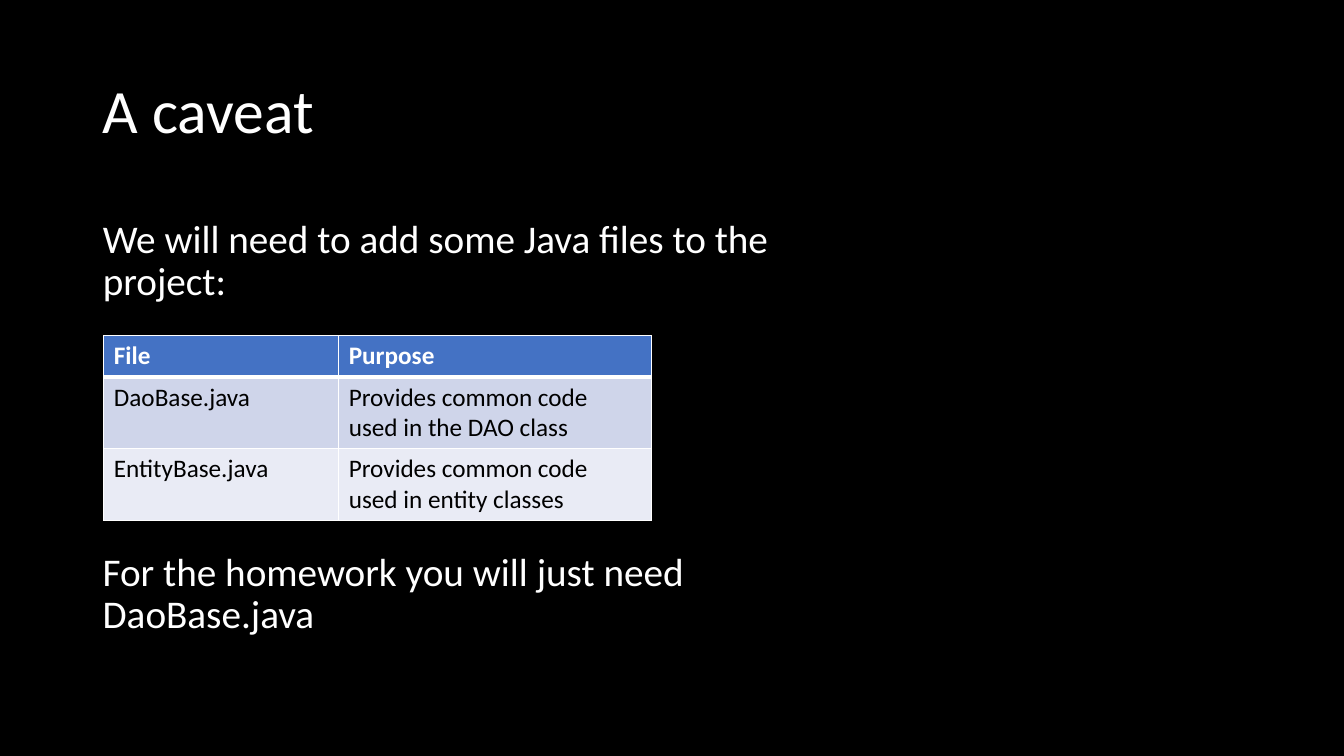
import dataclasses

import lxml.etree
import pptx
import pptx.dml.color
import pptx.enum.text
import pptx.oxml.ns
import pptx.util

Inches = pptx.util.Inches
FONT = "Calibri"
COLORS = {
    "background": "000000",
    "light": "FFFFFF",
    "dark": "000000",
    "header": "4472C4",
    "band_odd": "CFD5EA",
    "band_even": "E9EBF5",
}


@dataclasses.dataclass(frozen=True)
class TextBlock:
    text: str
    left: float
    top: float
    width: float
    height: float
    size: int
    anchor: pptx.enum.text.MSO_ANCHOR = pptx.enum.text.MSO_ANCHOR.TOP


@dataclasses.dataclass(frozen=True)
class TableRow:
    texts: tuple[str, str]
    height: float
    fill: str
    color: str
    bold: bool
    top_border: float
    bottom_border: float


TITLE = TextBlock("A caveat", 0.92, 0.4, 11.5, 1.45, 44, pptx.enum.text.MSO_ANCHOR.MIDDLE)
INTRO = TextBlock("We will need to add some Java files to the project:", 0.92, 2.13, 7.15, 0.94, 28)
HOMEWORK = TextBlock("For the homework you will just need DaoBase.java", 0.92, 5.43, 7.15, 0.94, 28)
COLUMN_WIDTHS = (2.33, 3.1)
ROWS = (
    TableRow(("File", "Purpose"), 0.41, "header", "light", True, 1, 3),
    TableRow(("DaoBase.java", "Provides common code used in the DAO class"),
             0.7, "band_odd", "dark", False, 3, 1),
    TableRow(("EntityBase.java", "Provides common code used in entity classes"),
             0.7, "band_even", "dark", False, 1, 1),
)


def rgb(name: str) -> pptx.dml.color.RGBColor:
    return pptx.dml.color.RGBColor.from_string(COLORS[name])


def format_spans(para, size: int, color: str, bold: bool = False) -> None:
    for span in para.runs:
        span.font.name = FONT
        span.font.size = pptx.util.Pt(size)
        span.font.bold = bold
        span.font.color.rgb = rgb(color)


def fill_box(box, block: TextBlock) -> None:
    box.left, box.top = Inches(block.left), Inches(block.top)
    box.width, box.height = Inches(block.width), Inches(block.height)
    frame = box.text_frame
    frame.text = block.text
    frame.word_wrap = True
    frame.auto_size = pptx.enum.text.MSO_AUTO_SIZE.NONE
    frame.vertical_anchor = block.anchor
    para = frame.paragraphs[0]
    properties = para._p.get_or_add_pPr()
    properties.set("marL", "0")
    properties.set("indent", "0")
    lxml.etree.SubElement(properties, pptx.oxml.ns.qn("a:buNone"))
    para.alignment = pptx.enum.text.PP_ALIGN.LEFT
    para.line_spacing = 0.9
    para.space_before = pptx.util.Pt(0)
    format_spans(para, block.size, "light")


def set_borders(cell, row: TableRow) -> None:
    qn = pptx.oxml.ns.qn
    properties = cell._tc.get_or_add_tcPr()
    sides = {"lnL": 1, "lnR": 1, "lnT": row.top_border, "lnB": row.bottom_border}
    for position, (side, points) in enumerate(sides.items()):
        line = lxml.etree.SubElement(properties, qn(f"a:{side}"), w=str(pptx.util.Pt(points)))
        fill = lxml.etree.SubElement(line, qn("a:solidFill"))
        lxml.etree.SubElement(fill, qn("a:srgbClr"), val=COLORS["light"])
        properties.insert(position, line)


def add_file_table(page) -> None:
    table = page.shapes.add_table(
        len(ROWS), len(COLUMN_WIDTHS), Inches(1.03), Inches(3.33),
        Inches(sum(COLUMN_WIDTHS)), Inches(sum(row.height for row in ROWS)),
    ).table
    for column, width in zip(table.columns, COLUMN_WIDTHS):
        column.width = Inches(width)
    for row_number, row in enumerate(ROWS):
        table.rows[row_number].height = Inches(row.height)
        for column_number, text in enumerate(row.texts):
            cell = table.cell(row_number, column_number)
            cell.text_frame.text = text
            cell.fill.solid()
            cell.fill.fore_color.rgb = rgb(row.fill)
            set_borders(cell, row)
            format_spans(cell.text_frame.paragraphs[0], 18, row.color, row.bold)


def main() -> None:
    deck = pptx.Presentation()
    deck.slide_width, deck.slide_height = Inches(13.33), Inches(7.5)
    page = deck.slides.add_slide(deck.slide_layouts[1])
    page.background.fill.solid()
    page.background.fill.fore_color.rgb = rgb("background")
    fill_box(page.shapes.title, TITLE)
    fill_box(page.placeholders[1], INTRO)
    add_file_table(page)
    fill_box(page.shapes.add_textbox(0, 0, 0, 0), HOMEWORK)
    deck.save("out.pptx")


if __name__ == "__main__":
    main()
